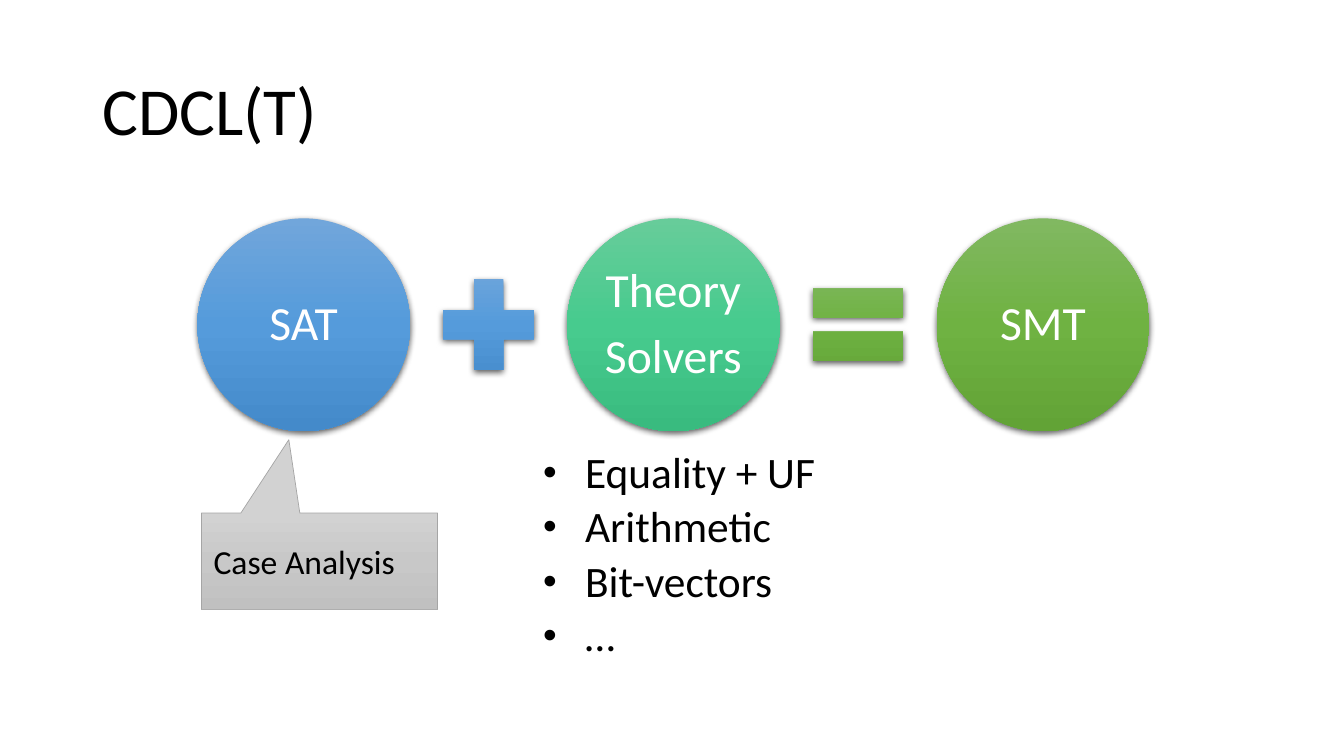
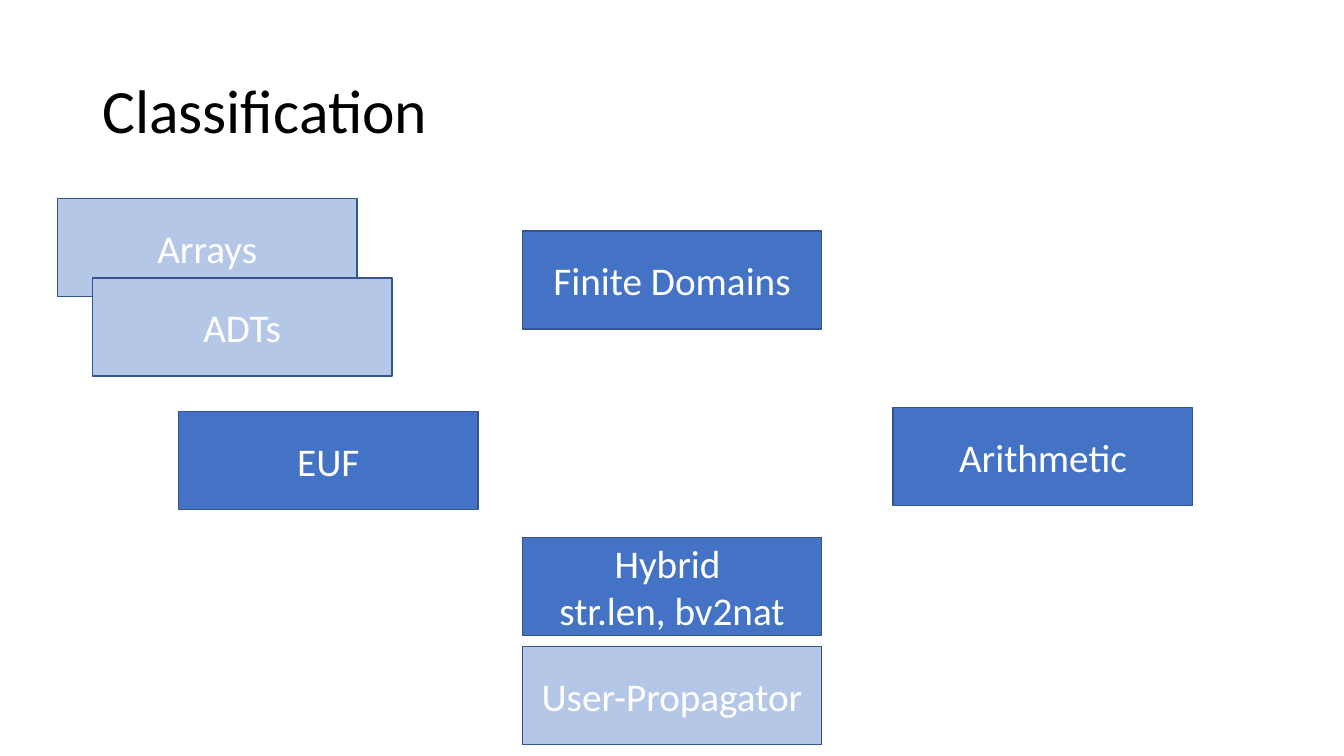
from copy import deepcopy

from lxml.etree import SubElement
from pptx import Presentation
from pptx.dml.color import RGBColor
from pptx.enum.shapes import MSO_SHAPE
from pptx.enum.text import MSO_ANCHOR, PP_ALIGN
from pptx.oxml.ns import qn
from pptx.util import Pt

FONT = "Calibri"
COLORS = {
    "black": "000000",
    "white": "FFFFFF",
    "core": "4472C4",
    "extension": "B4C7E7",
    "outline": "325491",
    "callout_line": "A5A5A5",
}
GRADIENTS = {
    "blue": ("71A6DB", "559BDB", "448ACA"),
    "teal": ("67CC9A", "47CB8E", "39BB7F"),
    "green": ("81B861", "6FB242", "62A336"),
    "gray": ("D2D2D2", "C8C8C8", "C0C0C0"),
}
CIRCLE_SIZE = 152
OPERATOR_SIZE = 88
EQUATION_LEFT = 141
EQUATION_STEP = 264
EQUATION_MIDDLE = 232
BOX_WIDTH, BOX_HEIGHT = 214, 70
MIDDLE_COLUMN = 373


def color(name):
    return RGBColor.from_string(COLORS[name])


def write(shape, lines, size, ink, align=PP_ALIGN.LEFT, anchor=MSO_ANCHOR.MIDDLE,
          inset=(7.2, 3.6), spacing=1.0, gap=0):
    frame = shape.text_frame
    frame.word_wrap = True
    frame.vertical_anchor = anchor
    frame.margin_left = frame.margin_right = Pt(inset[0])
    frame.margin_top = frame.margin_bottom = Pt(inset[1])
    for index, line in enumerate(lines):
        para = frame.add_paragraph() if index else frame.paragraphs[0]
        para.alignment = align
        para.line_spacing = spacing
        para.space_before = Pt(gap if index else 0)
        span = para.add_run()
        span.text = line
        span.font.name = FONT
        span.font.size = Pt(size)
        span.font.color.rgb = color(ink)
    return frame


def add_title(page, text, size):
    box = page.shapes.add_textbox(Pt(66), Pt(29), Pt(828), Pt(104))
    write(box, [text], size, "black", spacing=0.9)


def add_plain_shape(page, kind, left, top, width, height):
    shape = page.shapes.add_shape(kind, Pt(left), Pt(top), Pt(width), Pt(height))
    shape.shadow.inherit = False
    shape.line.fill.background()
    return shape


def set_outline(shape, name, width):
    shape.line.color.rgb = color(name)
    shape.line.width = Pt(width)


def fill_gradient(shape, name):
    fill = shape.fill
    fill.gradient()
    fill.gradient_angle = 270
    stop_list = shape.element.spPr.find(".//" + qn("a:gsLst"))
    stop_list.append(deepcopy(stop_list[0]))
    for index, (stop, shade) in enumerate(zip(fill.gradient_stops, GRADIENTS[name])):
        stop.position = index / 2
        stop.color.rgb = RGBColor.from_string(shade)


def add_shadow(shape):
    effects = shape.element.spPr.find(qn("a:effectLst"))
    shadow = SubElement(effects, qn("a:outerShdw"), blurRad=str(Pt(4.5)),
                        dist=str(Pt(1.5)), dir="5400000", algn="ctr", rotWithShape="0")
    shade = SubElement(shadow, qn("a:srgbClr"), val=COLORS["black"])
    SubElement(shade, qn("a:alpha"), val="63000")


def add_equation_part(page, kind, center, size, gradient):
    shape = add_plain_shape(page, kind, center - size / 2, EQUATION_MIDDLE - size / 2,
                            size, size)
    fill_gradient(shape, gradient)
    add_shadow(shape)
    return shape


def add_equation(page, terms, operators):
    first_center = EQUATION_LEFT + CIRCLE_SIZE / 2
    for index, (lines, gradient) in enumerate(terms):
        circle = add_equation_part(page, MSO_SHAPE.OVAL, first_center + index * EQUATION_STEP,
                                   CIRCLE_SIZE, gradient)
        write(circle, lines, 34, "white", PP_ALIGN.CENTER, inset=(3.6, 3.6),
              spacing=0.9, gap=10.6)
    for index, (kind, gradient) in enumerate(operators):
        add_equation_part(page, kind, first_center + (index + 0.5) * EQUATION_STEP,
                          OPERATOR_SIZE, gradient)


def add_bullets(page, lines):
    box = page.shapes.add_textbox(Pt(388), Pt(322), Pt(236), Pt(158))
    frame = write(box, lines, 31, "black", anchor=MSO_ANCHOR.TOP, inset=(0, 0),
                  spacing=0.9, gap=5.4)
    for para in frame.paragraphs:
        properties = para._p.get_or_add_pPr()
        properties.set("marL", str(Pt(30)))
        properties.set("indent", str(Pt(-30)))
        SubElement(properties, qn("a:buSzPct"), val="90000")
        SubElement(properties, qn("a:buFont"), typeface="Arial")
        SubElement(properties, qn("a:buChar"), char="•")


def add_callout(page, text):
    callout = add_plain_shape(page, MSO_SHAPE.RECTANGULAR_CALLOUT, 144, 366.5, 168.5, 69)
    callout.adjustments[0] = -0.13
    callout.adjustments[1] = -1.26
    fill_gradient(callout, "gray")
    set_outline(callout, "callout_line", 0.5)
    write(callout, [text], 24, "black", inset=(8.6, 4.3))


def add_theory_box(page, left, top, lines, fill):
    box = add_plain_shape(page, MSO_SHAPE.RECTANGLE, left, top, BOX_WIDTH, BOX_HEIGHT)
    box.fill.solid()
    box.fill.fore_color.rgb = color(fill)
    set_outline(box, "outline", 1)
    write(box, lines, 28, "white", PP_ALIGN.CENTER)


def add_page(deck, title, size):
    page = deck.slides.add_slide(deck.slide_layouts[6])
    add_title(page, title, size)
    return page


def build_architecture(deck):
    page = add_page(deck, "CDCL(T)", 48)
    add_equation(
        page,
        [(["SAT"], "blue"), (["Theory", "Solvers"], "teal"), (["SMT"], "green")],
        [(MSO_SHAPE.MATH_PLUS, "blue"), (MSO_SHAPE.MATH_EQUAL, "green")],
    )
    add_bullets(page, ["Equality + UF", "Arithmetic", "Bit-vectors", "…"])
    add_callout(page, "Case Analysis")


def build_classification(deck):
    page = add_page(deck, "Classification", 44)
    for left, top, lines, fill in [
        (MIDDLE_COLUMN, 165, ["Finite Domains"], "core"),
        (127.5, 294, ["EUF"], "core"),
        (638, 291, ["Arithmetic"], "core"),
        (MIDDLE_COLUMN, 384, ["Hybrid ", "str.len, bv2nat"], "core"),
        (41, 142, ["Arrays"], "extension"),
        (66, 198.5, ["ADTs"], "extension"),
        (MIDDLE_COLUMN, 462, ["User-Propagator"], "extension"),
    ]:
        add_theory_box(page, left, top, lines, fill)


def main():
    deck = Presentation()
    deck.slide_width, deck.slide_height = Pt(960), Pt(540)
    build_architecture(deck)
    build_classification(deck)
    deck.save("out.pptx")


if __name__ == "__main__":
    main()
